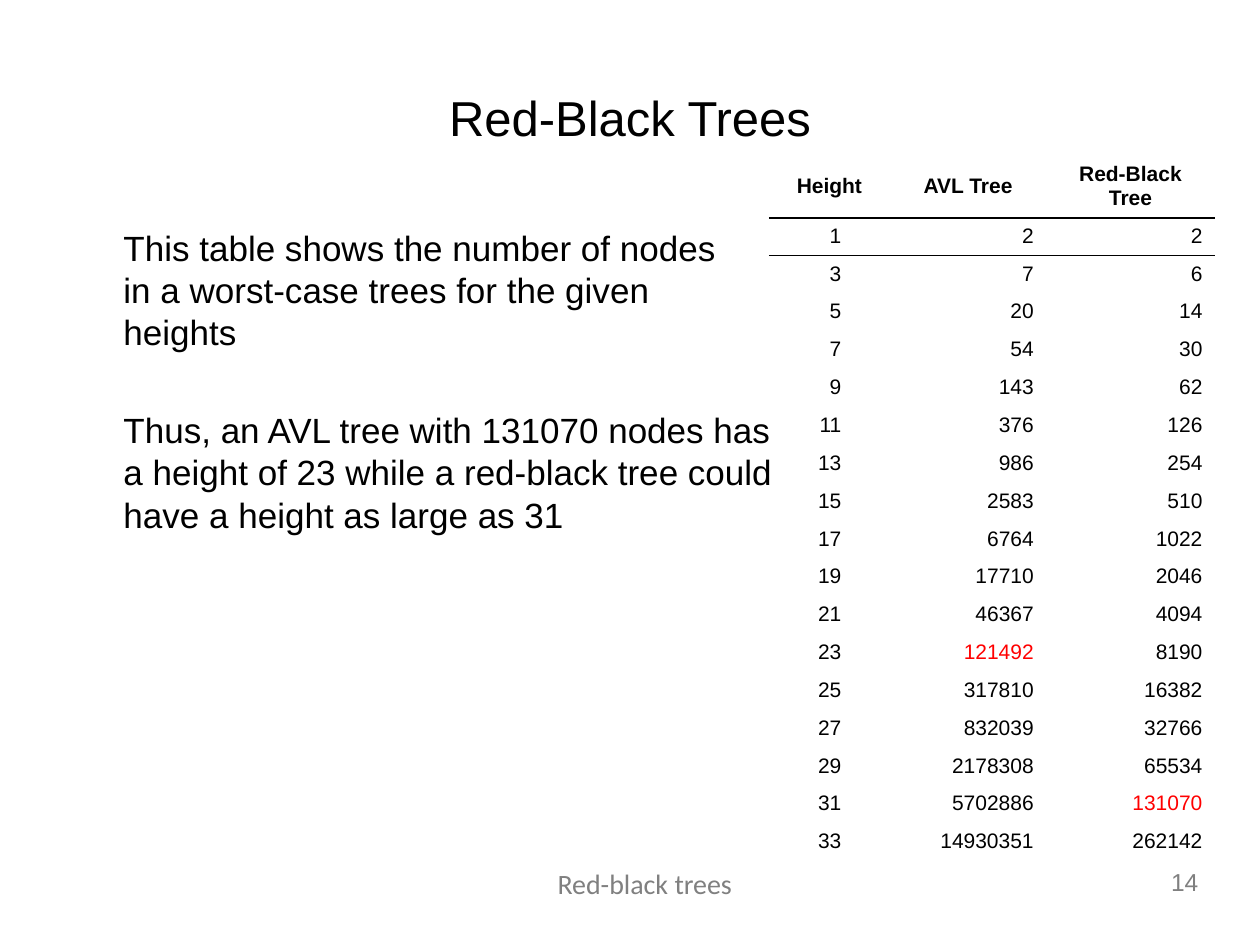
"""Build the slide that compares worst-case AVL and red-black trees."""
from dataclasses import dataclass

from lxml.etree import SubElement
from pptx import Presentation
from pptx.dml.color import RGBColor
from pptx.enum.text import MSO_ANCHOR, PP_ALIGN
from pptx.oxml.ns import qn
from pptx.util import Cm, Pt

COLORS = {"ink": "000000", "gray": "808080", "red": "FF0000"}
PLAIN = "{2D5ABB26-0587-4C30-8999-92F81FD0307C}"
HEADS = ("Height", "AVL Tree", "Red-Black Tree")
COUNTS = (
    (1, 2, 2), (3, 7, 6), (5, 20, 14), (7, 54, 30), (9, 143, 62),
    (11, 376, 126), (13, 986, 254), (15, 2583, 510), (17, 6764, 1022),
    (19, 17710, 2046), (21, 46367, 4094), (23, 121492, 8190),
    (25, 317810, 16382), (27, 832039, 32766), (29, 2178308, 65534),
    (31, 5702886, 131070), (33, 14930351, 262142),
)
MARKED = (121492, 131070)
WIDTHS = (2.44, 3.15, 3.4)
PADS = (0.98, 0.25, 0.25)


@dataclass
class Style:
    size: int
    color: str = "ink"
    name: str = "Arial"
    bold: bool = False
    align: PP_ALIGN = PP_ALIGN.LEFT


@dataclass
class Label:
    text: str
    box: tuple[float, float, float, float]
    style: Style
    wrap: bool = True


TITLE = Style(28, align=PP_ALIGN.CENTER)
HEAD = Style(12, bold=True, align=PP_ALIGN.CENTER)
BODY = Style(20)
LABELS = (
    Label("14", (23.29, 17.35, 1.12, 0.84),
          Style(14, "gray", align=PP_ALIGN.RIGHT), False),
    Label("Red-black trees", (4.9, 17.35, 16.2, 1.02),
          Style(16, "gray", "Calibri", align=PP_ALIGN.CENTER)),
)
NOTES = Label(
    "This table shows the number of nodes\vin a worst-case trees for the given"
    "\vheights\nThus, an AVL tree with 131070 nodes has\va height of 23 while a "
    "red-black tree could\vhave a height as large as 31",
    (1.27, 4.45, 22.86, 12.57), BODY)


def write(frame, text: str, style: Style) -> None:
    """Fill a text frame and format each run."""
    frame.text = text
    looks = {"name": style.name, "size": Pt(style.size), "bold": style.bold}
    for para in frame.paragraphs:
        para.alignment = style.align
        for run in para.runs:
            for key, value in looks.items():
                setattr(run.font, key, value)
            run.font.color.rgb = RGBColor.from_string(COLORS[style.color])


def place(shape, box: tuple[float, float, float, float]) -> None:
    """Move and size a shape."""
    for key, value in zip(("left", "top", "width", "height"), box):
        setattr(shape, key, Cm(value))


def add_label(slide, label: Label):
    """Add a text box and return its frame."""
    frame = slide.shapes.add_textbox(*map(Cm, label.box)).text_frame
    frame.word_wrap = label.wrap
    write(frame, label.text, label.style)
    return frame


def add_notes(slide) -> None:
    """Add the two remarks on the left."""
    frame = add_label(slide, NOTES)
    frame.margin_left = Cm(1.22)
    for para in frame.paragraphs:
        para.line_spacing = Pt(24)
    frame.paragraphs[1].space_before = Pt(32)


def rule(cell, side: str) -> None:
    """Draw a line on one side of a cell."""
    props = cell._tc.get_or_add_tcPr()
    line = SubElement(props, qn(f"a:{side}"), w=str(Pt(1)))
    fill = SubElement(line, qn("a:solidFill"))
    SubElement(fill, qn("a:srgbClr"), val=COLORS["ink"])
    props.insert(0, line)


def add_counts(slide) -> None:
    """Add the table of node counts."""
    rows = (HEADS, *COUNTS)
    table = slide.shapes.add_table(
        len(rows), len(HEADS), Cm(15.5), Cm(3.12), Cm(sum(WIDTHS)), Cm(14.22)).table
    table.first_row = table.horz_banding = False
    table._tbl.tblPr.find(qn("a:tableStyleId")).text = PLAIN
    for col, width in zip(table.columns, WIDTHS):
        col.width = Cm(width)
    for r, values in enumerate(rows):
        table.rows[r].height = Cm(0.76 if r else 1.27)
        for c, value in enumerate(values):
            cell = table.cell(r, c)
            cell.fill.background()
            if r:
                tint = "red" if value in MARKED else "ink"
                style = Style(12, tint, align=PP_ALIGN.RIGHT)
                cell.margin_right = Cm(PADS[c])
            else:
                style = HEAD
                cell.vertical_anchor = MSO_ANCHOR.MIDDLE
            if r < 2:
                rule(cell, "lnT" if r else "lnB")
            write(cell.text_frame, str(value), style)


def main() -> None:
    """Build and save the deck."""
    deck = Presentation()
    deck.slide_width, deck.slide_height = Cm(25.4), Cm(19.05)
    slide = deck.slides.add_slide(deck.slide_layouts[5])
    title = slide.shapes.title
    place(title, (1.27, 0.76, 22.86, 3.18))
    title.text_frame.vertical_anchor = MSO_ANCHOR.MIDDLE
    write(title.text_frame, "Red-Black Trees", TITLE)
    for label in LABELS:
        add_label(slide, label)
    add_notes(slide)
    add_counts(slide)
    deck.save("out.pptx")


if __name__ == "__main__":
    main()
